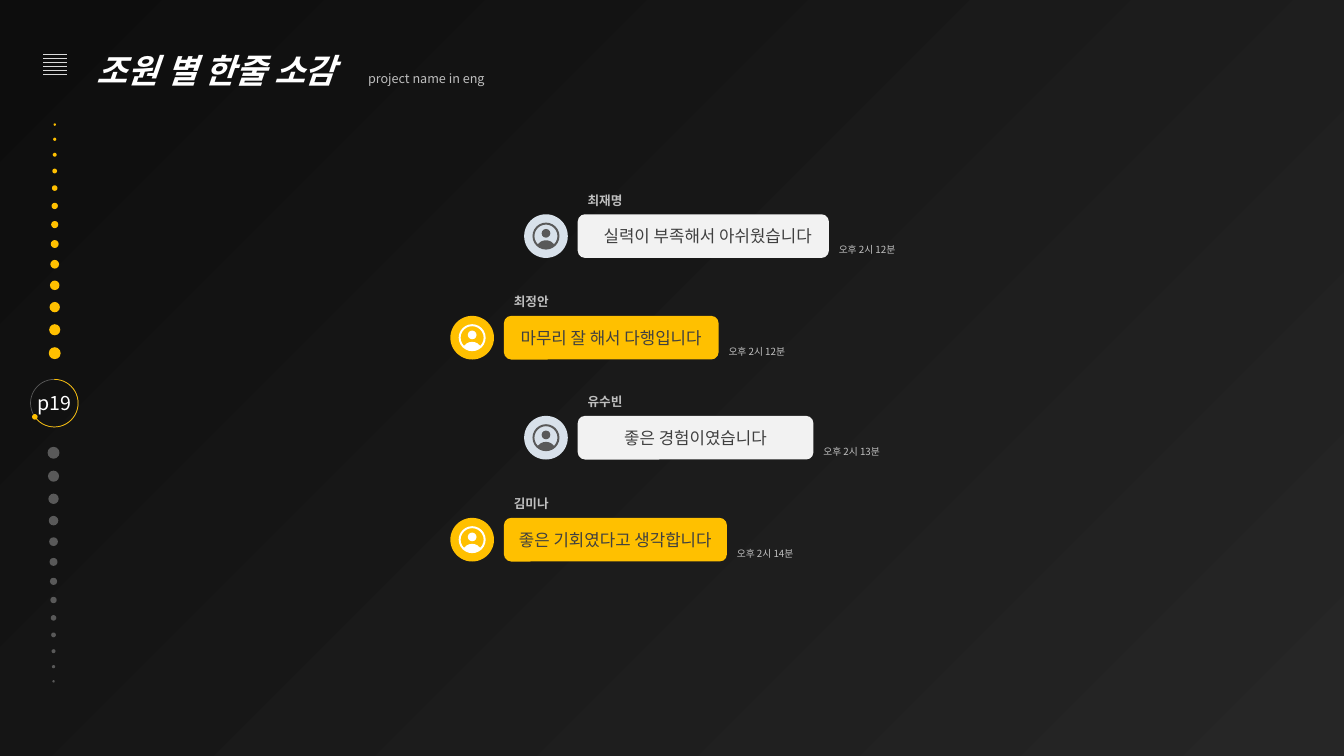
from dataclasses import dataclass
from math import cos, radians, sin

from lxml.etree import SubElement
from pptx import Presentation
from pptx.dml.color import RGBColor
from pptx.enum.shapes import MSO_CONNECTOR as Link, MSO_SHAPE as Kind
from pptx.enum.text import MSO_ANCHOR as Anchor, MSO_AUTO_SIZE as Fit, PP_ALIGN as Align
from pptx.oxml.ns import qn
from pptx.util import Cm, Pt

SANS, LATIN = "Noto Sans CJK KR", "Roboto"
NIGHT, COAL = RGBColor(0x0D, 0x0D, 0x0D), RGBColor(0x26, 0x26, 0x26)
GOLD, WHITE = RGBColor(0xFF, 0xC0, 0x00), RGBColor(0xFF, 0xFF, 0xFF)
MIST, PALE = RGBColor(0xD8, 0xE1, 0xEA), RGBColor(0xF2, 0xF2, 0xF2)
GREY, INK = RGBColor(0x59, 0x59, 0x59), RGBColor(0x40, 0x40, 0x40)
SILVER, LIGHT = RGBColor(0xBF, 0xBF, 0xBF), RGBColor(0xD9, 0xD9, 0xD9)

AVATAR = 1.1
DOTS = 13


@dataclass
class Side:
    left: float
    face: RGBColor
    icon: RGBColor
    bubble: RGBColor


@dataclass
class Chat:
    side: Side
    top: float
    width: float
    name: str
    text: str
    time: str
    indent: float = 0.25


@dataclass
class Trail:
    x: float
    start: float
    sign: int
    color: RGBColor


@dataclass
class Arc:
    """A bend around a point on the icon's axis, in degrees."""
    y: float
    r: float
    start: int
    sweep: int = 90

    def spot(self, x: float, y: float, turn: int) -> tuple:
        angle = radians(self.start + turn)
        return Cm(x + self.r * cos(angle)), Cm(y + self.y + self.r * sin(angle))


THEM = Side(14.56, MIST, GREY, PALE)
US = Side(12.7, GOLD, WHITE, GOLD)
CHATS = [
    Chat(THEM, 5.4, 6.33, "최재명", "실력이 부족해서 아쉬웠습니다", "오후 2시 12분", 0.48),
    Chat(US, 7.96, 5.41, "최정안", "마무리 잘 해서 다행입니다", "오후 2시 12분"),
    Chat(THEM, 10.48, 5.94, "유수빈", "좋은 경험이였습니다", "오후 2시 13분"),
    Chat(US, 13.05, 5.62, "김미나", "좋은 기회였다고 생각합니다", "오후 2시 14분"),
]
TRAILS = [Trail(1.38, 3.14, 1, GOLD), Trail(1.35, 17.17, -1, GREY)]
RING = [Arc(0, 0.34, a) for a in (0, 90, 180, 270)]
CHEST = [Arc(0, 0.29, a) for a in (135, 225, 315)] + [Arc(0.37, 0.26, 322, -104)]
FACE = [Arc(-0.07, 0.11, a) for a in (0, 90, 180, 270)]


def style(run, size: float, color: RGBColor, face: str = SANS, bold: bool = False) -> None:
    font = run.font
    font.size, font.bold, font.name = Pt(size), bold, face
    font.color.rgb = color


def shape(slide, kind, x: float, y: float, w: float, h: float, fill=None, line=None):
    item = slide.shapes.add_shape(kind, Cm(x), Cm(y), Cm(w), Cm(h))
    paint(item, fill, line)
    return item


def paint(item, fill=None, line=None) -> None:
    item.shadow.inherit = False
    if fill is None:
        item.fill.background()
    else:
        item.fill.solid()
        item.fill.fore_color.rgb = fill
    if line is None:
        item.line.fill.background()
    else:
        item.line.color.rgb = line
        item.line.width = Pt(0.5)


def write(item, text: str, size: float, color: RGBColor, face: str = SANS) -> None:
    """Put centred text inside a shape."""
    frame = item.text_frame
    frame.text = text
    frame.vertical_anchor = Anchor.MIDDLE
    frame.paragraphs[0].alignment = Align.CENTER
    style(frame.paragraphs[0].runs[0], size, color, face)


def label(slide, x: float, y: float, w: float, h: float, text: str, size: float, bold: bool) -> None:
    frame = slide.shapes.add_textbox(Cm(x), Cm(y), Cm(w), Cm(h)).text_frame
    frame.word_wrap = True
    frame.text = text
    style(frame.paragraphs[0].runs[0], size, SILVER, bold=bold)


def person(slide, x: float, y: float, color: RGBColor) -> None:
    """Draw a ringed head and shoulders centred on a point."""
    loops = RING, CHEST, FACE
    pen = slide.shapes.build_freeform(*RING[0].spot(x, y, 0))
    for loop in loops:
        if loop is not RING:
            pen.move_to(*loop[0].spot(x, y, 0))
        pen.add_line_segments([arc.spot(x, y, arc.sweep) for arc in loop], close=True)
    item = pen.convert_to_shape()
    sides = list(item._element.iter(qn("a:lnTo")))
    for side, arc in zip(sides, RING + CHEST + FACE):
        bend = SubElement(side.getparent(), qn("a:arcTo"), wR=str(Cm(arc.r)), hR=str(Cm(arc.r)),
                          stAng=str(arc.start * 60000), swAng=str(arc.sweep * 60000))
        side.getparent().replace(side, bend)
    paint(item, color)


def talk(slide, chat: Chat) -> None:
    side, top = chat.side, chat.top
    x = side.left - 1.35
    shape(slide, Kind.OVAL, x, top, AVATAR, AVATAR, side.face)
    person(slide, x + AVATAR / 2, top + AVATAR / 2, side.icon)
    bubble = shape(slide, Kind.ROUNDED_RECTANGLE, side.left, top, chat.width, AVATAR, side.bubble)
    write(bubble, chat.text, 12, INK, LATIN)
    bubble.text_frame.margin_left = Cm(chat.indent)
    label(slide, side.left + chat.width, top + 0.62, 2.41, 0.56, chat.time, 7, False)
    label(slide, side.left, top - 0.67, 2.9, 0.64, chat.name, 9, True)


def trail(slide, row: Trail) -> None:
    """Draw dots that grow, and spread, towards the page mark."""
    for k in range(DOTS):
        size = 0.06 + 0.02 * k
        y = row.start + row.sign * (0.36 * k + 0.01 * k * k)
        shape(slide, Kind.OVAL, row.x - size / 2, y - size / 2, size, size, row.color)


def page(slide) -> None:
    box = 0.77, 9.56, 1.2, 1.2
    ring = shape(slide, Kind.OVAL, *box, line=GREY)
    write(ring, "p19", 14, WHITE)
    ring.text_frame.word_wrap = False
    sweep = shape(slide, Kind.ARC, *box, line=GOLD)
    sweep.adjustments[0], sweep.adjustments[1] = 161.75, 86.92
    SubElement(sweep.line._get_or_add_ln(), qn("a:tailEnd"), type="oval", w="sm", len="sm")


def menu(slide) -> None:
    group = slide.shapes.add_group_shape()
    for k in range(6):
        y = Cm(1.37 + 0.1 * k)
        bar = group.shapes.add_connector(Link.STRAIGHT, Cm(1.09), y, Cm(1.68), y)
        bar.line.color.rgb = LIGHT
        bar.line.width = Pt(0.5)
        SubElement(bar._element.spPr, qn("a:effectLst"))


def head(slide) -> None:
    title = slide.shapes.title
    title.left, title.top, title.width, title.height = Cm(2.18), Cm(0.61), Cm(22.43), Cm(1.8)
    frame = title.text_frame
    frame.auto_size, frame.vertical_anchor = Fit.NONE, Anchor.TOP
    frame.text = "조원 별 한줄 소감"
    line = frame.paragraphs[0]
    line.alignment, line.line_spacing = Align.LEFT, 1.5
    tabs = SubElement(line._p.get_or_add_pPr(), qn("a:tabLst"))
    SubElement(tabs, qn("a:tab"), pos=str(Cm(6.84)), algn="l")
    style(line.runs[0], 24, WHITE, bold=True)
    line.runs[0].font.italic = True
    note = line.add_run()
    note.text = "\tproject name in eng"
    style(note, 9, SILVER)


def backdrop(slide) -> None:
    fill = slide.background.fill
    fill.gradient()
    for stop, color in zip(fill.gradient_stops, (NIGHT, COAL)):
        stop.color.rgb = color
    grad = slide._element.find(".//" + qn("a:gradFill"))
    grad.remove(grad.find(qn("a:lin")))
    glow = SubElement(grad, qn("a:path"), path="circle")
    SubElement(glow, qn("a:fillToRect"), r="100000", b="100000")
    SubElement(grad, qn("a:tileRect"), l="-100000", t="-100000")


def main() -> None:
    deck = Presentation()
    deck.slide_width, deck.slide_height = Cm(33.87), Cm(19.05)
    slide = deck.slides.add_slide(deck.slide_layouts[5])
    backdrop(slide)
    head(slide)
    menu(slide)
    for row in TRAILS:
        trail(slide, row)
    page(slide)
    for chat in CHATS:
        talk(slide, chat)
    deck.save("out.pptx")


if __name__ == "__main__":
    main()
